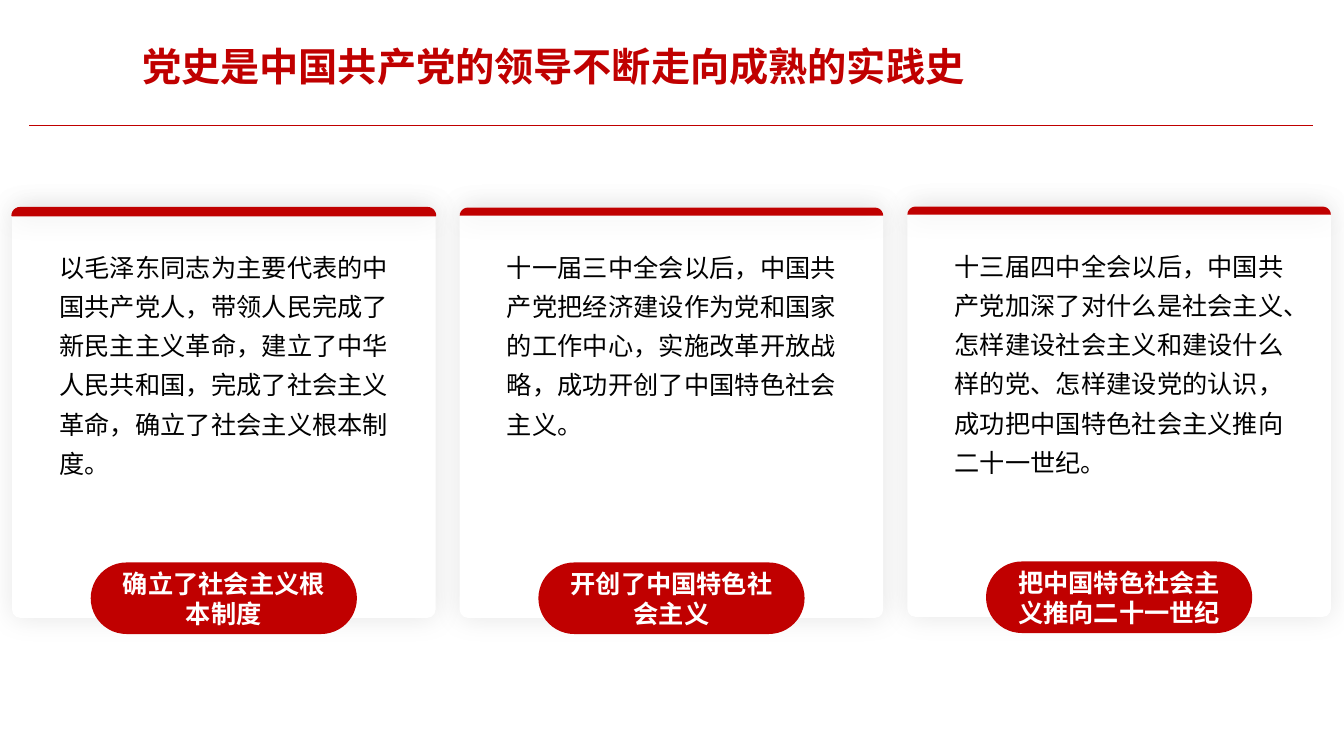
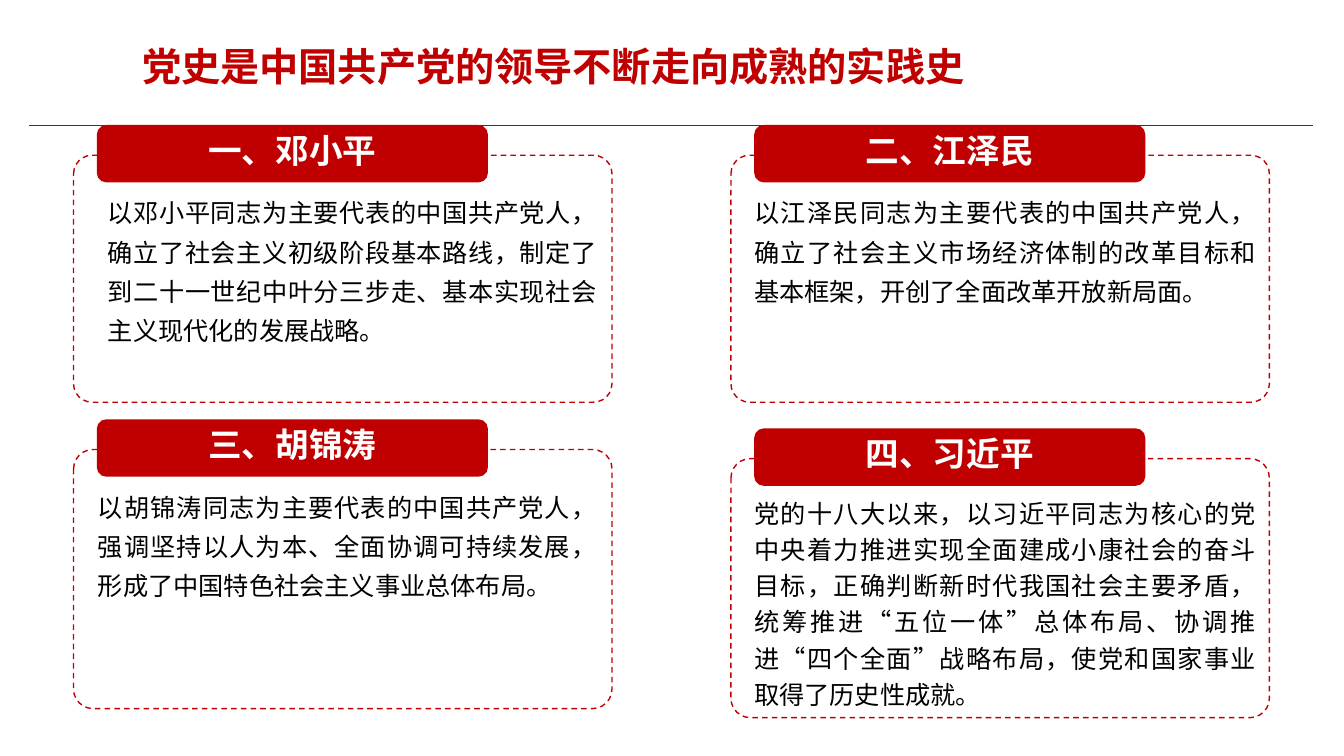
from math import cos, pi, sin

from lxml import etree
from pptx import Presentation
from pptx.dml.color import RGBColor
from pptx.enum.dml import MSO_LINE
from pptx.enum.shapes import MSO_CONNECTOR, MSO_SHAPE
from pptx.enum.text import MSO_ANCHOR, MSO_AUTO_SIZE, PP_ALIGN
from pptx.oxml.ns import qn
from pptx.util import Inches, Pt

RED = RGBColor(0xC0, 0x00, 0x00)
WHITE = RGBColor(0xFF, 0xFF, 0xFF)
BLACK = RGBColor(0x00, 0x00, 0x00)
FONT = "Noto Sans CJK SC"
TITLE = "党史是中国共产党的领导不断走向成熟的实践史"


def write(shape, text, size=18, color=BLACK, bold=False, align=PP_ALIGN.JUSTIFY,
          spacing=1.0, anchor=MSO_ANCHOR.TOP, inset_x=0.1, inset_y=0.05):
    frame = shape.text_frame
    frame.word_wrap = True
    frame.auto_size = MSO_AUTO_SIZE.NONE
    frame.vertical_anchor = anchor
    frame.margin_left = frame.margin_right = Inches(inset_x)
    frame.margin_top = frame.margin_bottom = Inches(inset_y)
    para = frame.paragraphs[0]
    para.alignment = align
    para.line_spacing = spacing
    span = para.add_run()
    span.text = text
    span.font.size = Pt(size)
    span.font.bold = bold
    span.font.name = FONT
    span.font.color.rgb = color
    east_asian = etree.SubElement(span.font._element, qn("a:ea"))
    east_asian.set("typeface", FONT)


def style(shape, fill=None, line=None, dashed=False, glow=False):
    """Set fill and outline; glow adds a soft grey shadow on all sides."""
    if fill is None:
        shape.fill.background()
    else:
        shape.fill.solid()
        shape.fill.fore_color.rgb = fill
    if line is None:
        shape.line.fill.background()
    else:
        shape.line.color.rgb = line
        shape.line.width = Pt(1)
        if dashed:
            shape.line.dash_style = MSO_LINE.DASH
    shape.shadow.inherit = False
    if glow:
        effects = shape._element.spPr.find(qn("a:effectLst"))
        shadow = etree.SubElement(effects, qn("a:outerShdw"), blurRad=str(Pt(20)),
                                  dist="0", dir="0", algn="ctr", rotWithShape="0")
        black = etree.SubElement(shadow, qn("a:srgbClr"), val="000000")
        etree.SubElement(black, qn("a:alpha"), val="10000")


deck = Presentation()
deck.slide_width, deck.slide_height = Inches(13.33), Inches(7.5)
title_only = deck.slide_layouts[5]
title_place = title_only.placeholders[0]
title_place.left, title_place.top = Inches(1.31), Inches(0.37)
title_place.width, title_place.height = Inches(10.7), Inches(0.57)

# Both pages share the title and the rule below it
pages = [deck.slides.add_slide(title_only) for _ in range(2)]
for page in pages:
    write(page.shapes.title, TITLE, size=28, color=RED, bold=True, align=PP_ALIGN.LEFT)
    rule = page.shapes.add_connector(MSO_CONNECTOR.STRAIGHT, Inches(0.29), Inches(1.24),
                                     Inches(13.02), Inches(1.24))
    rule.line.color.rgb = RED
    rule.line.width = Pt(0.5)
    etree.SubElement(rule._element.spPr, qn("a:effectLst"))

stages_page, leaders_page = pages

# Three cards: top, outline of the band, conclusion, text
CARD_LEFT, CARD_STEP, CARD_WIDTH, CARD_HEIGHT = 0.12, 4.44, 4.2, 4.07
BAND_HEIGHT = 0.08
STAGES = [
    (2.06, RED, "确立了社会主义根本制度",
     "以毛泽东同志为主要代表的中国共产党人，带领人民完成了新民主主义革命，"
     "建立了中华人民共和国，完成了社会主义革命，确立了社会主义根本制度。"),
    (2.06, None, "开创了中国特色社会主义",
     "十一届三中全会以后，中国共产党把经济建设作为党和国家的工作中心，"
     "实施改革开放战略，成功开创了中国特色社会主义。"),
    (2.05, None, "把中国特色社会主义推向二十一世纪",
     "十三届四中全会以后，中国共产党加深了对什么是社会主义、怎样建设社会主义和"
     "建设什么样的党、怎样建设党的认识，成功把中国特色社会主义推向二十一世纪。"),
]
shapes = stages_page.shapes
for index, (top, outline, conclusion, text) in enumerate(STAGES):
    left = CARD_LEFT + index * CARD_STEP
    card = shapes.add_shape(MSO_SHAPE.ROUNDED_RECTANGLE, Inches(left), Inches(top),
                            Inches(CARD_WIDTH), Inches(CARD_HEIGHT))
    card.adjustments[0] = 0.02
    style(card, fill=WHITE, glow=True)

    pill = shapes.add_shape(MSO_SHAPE.ROUNDED_RECTANGLE, Inches(left + 0.78),
                            Inches(top + 3.52), Inches(2.64), Inches(0.71))
    pill.adjustments[0] = 0.5
    style(pill, fill=RED)
    write(pill, conclusion, color=WHITE, bold=True, align=PP_ALIGN.CENTER,
          anchor=MSO_ANCHOR.MIDDLE)

    # Band with rounded top corners, each a quarter circle in six steps
    arc = [(BAND_HEIGHT * (1 - cos(step * pi / 12)), BAND_HEIGHT * (1 - sin(step * pi / 12)))
           for step in range(7)]
    corners = [(left + x, top + y) for x, y in arc]
    corners += [(left + CARD_WIDTH - x, top + y) for x, y in reversed(arc)]
    points = [(Inches(x), Inches(y)) for x, y in corners]
    builder = shapes.build_freeform(*points[0])
    builder.add_line_segments(points[1:], close=True)
    style(builder.convert_to_shape(), fill=RED, line=outline, glow=True)

    box = shapes.add_textbox(Inches(left + 0.37), Inches(top + 0.3), Inches(3.46), Inches(2.46))
    write(box, text, spacing=1.3)

# Four panels: left, top, height, text left, text width, line spacing, name, text
LEADERS = [
    (0.73, 1.54, 2.45, 1.07, 4.85, 1.3, "一、邓小平",
     "以邓小平同志为主要代表的中国共产党人，确立了社会主义初级阶段基本路线，"
     "制定了到二十一世纪中叶分三步走、基本实现社会主义现代化的发展战略。"),
    (7.25, 1.54, 2.45, 7.48, 4.98, 1.3, "二、江泽民",
     "以江泽民同志为主要代表的中国共产党人，确立了社会主义市场经济体制的改革目标和"
     "基本框架，开创了全面改革开放新局面。"),
    (0.73, 4.46, 2.57, 0.97, 4.95, 1.3, "三、胡锦涛",
     "以胡锦涛同志为主要代表的中国共产党人， 强调坚持以人为本、全面协调可持续发展，"
     "形成了中国特色社会主义事业总体布局。"),
    (7.25, 4.55, 2.57, 7.48, 4.98, 1.2, "四、习近平",
     "党的十八大以来，以习近平同志为核心的党中央着力推进实现全面建成小康社会的奋斗目标，"
     "正确判断新时代我国社会主要矛盾，统筹推进“五位一体”总体布局、"
     "协调推进“四个全面”战略布局，使党和国家事业取得了历史性成就。"),
]
shapes = leaders_page.shapes
for left, top, height, text_left, text_width, spacing, name, text in LEADERS:
    panel = shapes.add_shape(MSO_SHAPE.ROUNDED_RECTANGLE, Inches(left), Inches(top),
                             Inches(5.34), Inches(height))
    panel.adjustments[0] = 0.075
    style(panel, line=RED, dashed=True)

    box = shapes.add_textbox(Inches(text_left), Inches(top + 0.33),
                             Inches(text_width), Inches(height - 0.39))
    write(box, text, spacing=spacing, inset_x=0, inset_y=0)

    tab = shapes.add_shape(MSO_SHAPE.ROUNDED_RECTANGLE, Inches(left + 0.23),
                           Inches(top - 0.3), Inches(3.88), Inches(0.57))
    style(tab, fill=RED)
    write(tab, name, size=24, color=WHITE, bold=True, align=PP_ALIGN.CENTER, inset_y=0.02)

deck.save("out.pptx")
